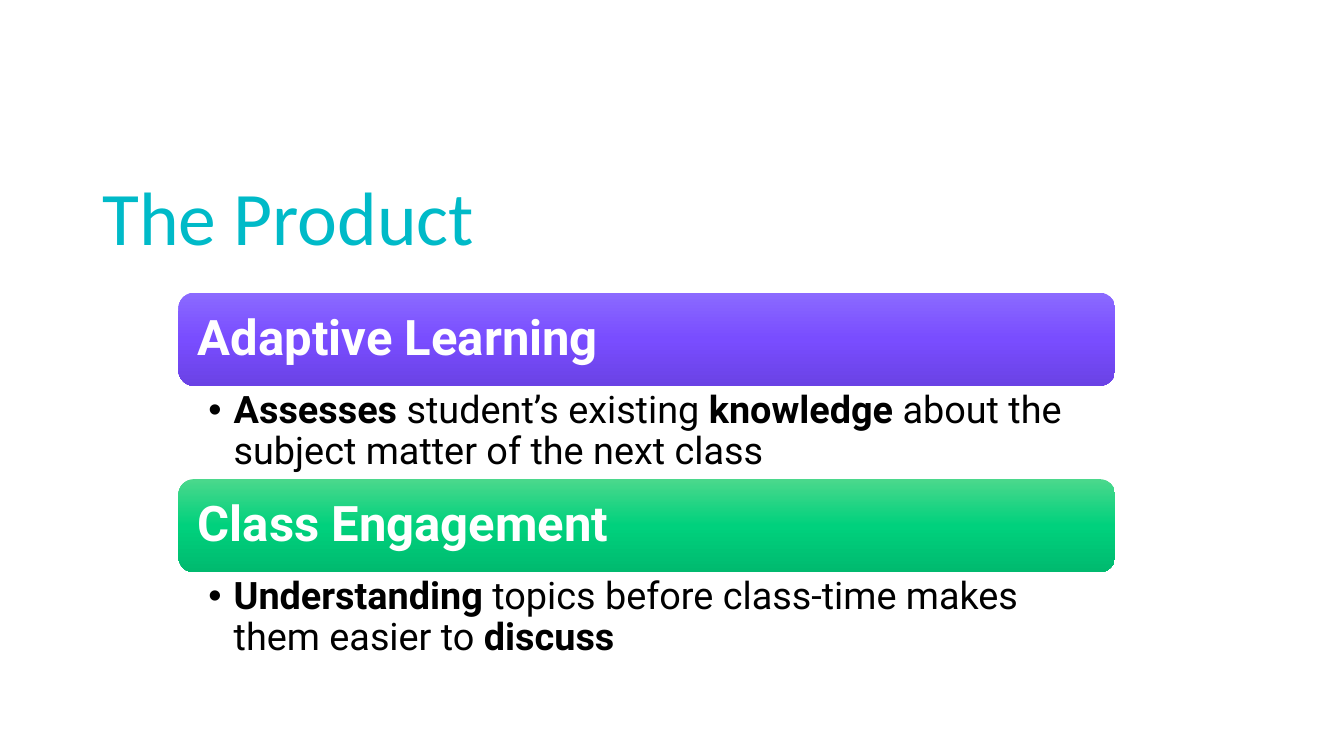
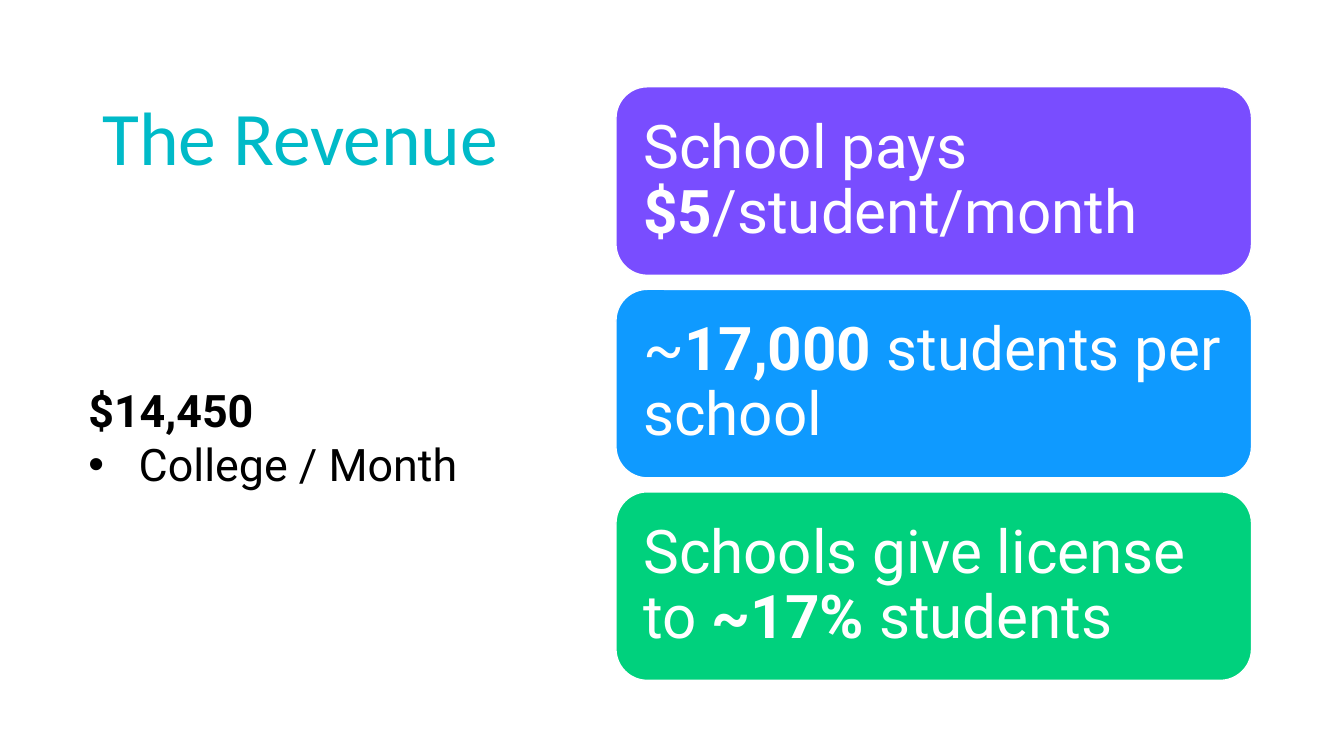
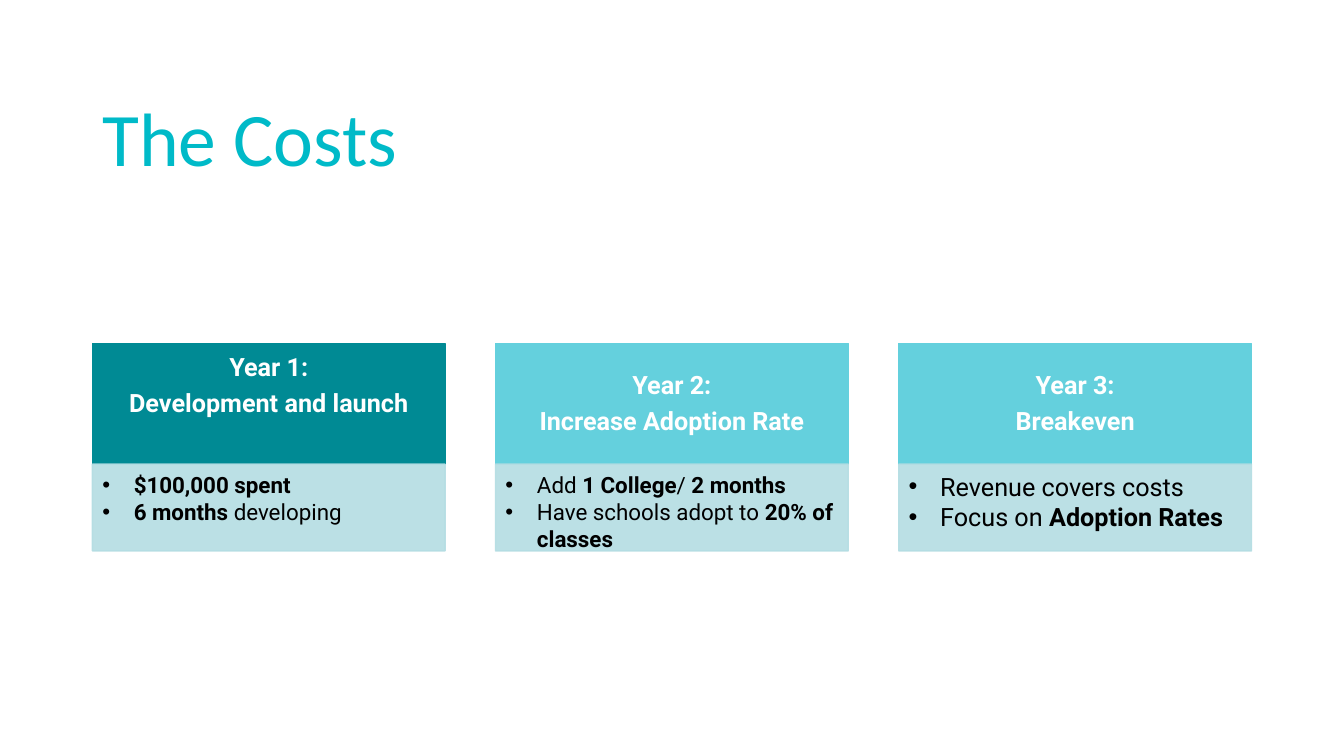
"""Build three pitch slides: product, revenue and costs."""
from copy import deepcopy

from lxml import etree
from pptx import Presentation
from pptx.dml.color import RGBColor
from pptx.enum import shapes, text
from pptx.oxml import ns
from pptx.util import Pt

COLORS = {
    "title": "00BAC8", "white": "FFFFFF", "black": "000000",
    "purple": "794DFF", "blue": "0F9AFF", "green": "00D17D",
    "teal": "008A94", "aqua": "64D0DD", "mist": "B4DDE3",
    "purple_light": "8B6AFF", "purple_dark": "6A42E5",
    "green_light": "4BD88C", "green_dark": "00BA6F",
}
ANCHORS = {
    "top": text.MSO_ANCHOR.TOP,
    "middle": text.MSO_ANCHOR.MIDDLE,
    "bottom": text.MSO_ANCHOR.BOTTOM,
}
ROUNDED = shapes.MSO_SHAPE.ROUNDED_RECTANGLE
RECTANGLE = shapes.MSO_SHAPE.RECTANGLE


def rgb(name):
    """Return the named colour."""
    return RGBColor.from_string(COLORS[name])


def add_bullet(paragraph, indent):
    """Give a paragraph a round bullet with a hanging indent."""
    properties = paragraph._p.get_or_add_pPr()
    properties.set("marL", str(Pt(indent)))
    properties.set("indent", str(-Pt(indent)))
    etree.SubElement(properties, ns.qn("a:buFont")).set("typeface", "Arial")
    etree.SubElement(properties, ns.qn("a:buChar")).set("char", "•")


def write_text(shape, lines, size, color="black", font="Roboto", anchor="top",
               insets=(7.2, 3.6, 7.2, 3.6), centered=False, spacing=1.0,
               after=0, bullet=0, first_bullet=0):
    """Fill a shape with lines, where asterisks enclose bold words."""
    frame = shape.text_frame
    frame.word_wrap = True
    frame.vertical_anchor = ANCHORS[anchor]
    (frame.margin_left, frame.margin_top,
     frame.margin_right, frame.margin_bottom) = map(Pt, insets)
    for index, line in enumerate(lines):
        paragraph = frame.paragraphs[0] if index == 0 else frame.add_paragraph()
        paragraph.alignment = text.PP_ALIGN.CENTER if centered else text.PP_ALIGN.LEFT
        paragraph.line_spacing = spacing
        paragraph.space_after = Pt(after)
        if bullet and index >= first_bullet:
            add_bullet(paragraph, bullet)
        for part, words in enumerate(line.split("*")):
            if words:
                run = paragraph.add_run()
                run.text = words
                run.font.name = font
                run.font.size = Pt(size)
                run.font.bold = part % 2 == 1
                run.font.color.rgb = rgb(color)


def add_text(slide, box, lines, **formats):
    """Add a text box."""
    write_text(slide.shapes.add_textbox(*map(Pt, box)), lines, **formats)


def add_panel(slide, kind, box, fill, line=None):
    """Add a plain shape; a tuple of colours makes a vertical gradient."""
    shape = slide.shapes.add_shape(kind, *map(Pt, box))
    shape.shadow.inherit = False
    if isinstance(fill, tuple):
        shape.fill.gradient()
        shape.fill.gradient_angle = 270
        stop_list = shape._element.spPr.find(".//" + ns.qn("a:gsLst"))
        stop_list.append(deepcopy(stop_list[-1]))
        for index, (stop, name) in enumerate(zip(shape.fill.gradient_stops, fill)):
            stop.position = index / (len(fill) - 1)
            stop.color.rgb = rgb(name)
    else:
        shape.fill.solid()
        shape.fill.fore_color.rgb = rgb(fill)
    if line:
        shape.line.color.rgb = rgb(line)
        shape.line.width = Pt(1)
    else:
        shape.line.fill.background()
    return shape


def set_opacity(shape, percent):
    """Make the fill and line of a shape partly transparent."""
    for color in shape._element.spPr.iter(ns.qn("a:srgbClr")):
        etree.SubElement(color, ns.qn("a:alpha")).set("val", str(percent * 1000))


def add_slide(presentation, title, box, anchor="bottom"):
    """Add a blank slide with its title."""
    slide = presentation.slides.add_slide(presentation.slide_layouts[6])
    add_text(slide, box, [title], size=54, color="title", font="Calibri", anchor=anchor)
    return slide


def add_features(slide, box, features):
    """Stack gradient headings, each with a bulleted line below."""
    left, top, width, height = box
    part_height = height / len(features) / 2
    for index, (heading, detail, fill) in enumerate(features):
        y = top + 2 * index * part_height
        bar = add_panel(slide, ROUNDED, (left, y, width, part_height), fill)
        write_text(bar, [heading], size=35, color="white", anchor="middle",
                   insets=(10.5,) * 4, spacing=0.9)
        add_text(slide, (left, y + part_height, width, part_height), [detail], size=27,
                 insets=(21.4, 3.6, 19.2, 3.6), spacing=0.9, bullet=18)


def add_cards(slide, box, cards, gap=10):
    """Stack equal rounded cards."""
    left, top, width, height = box
    card_height = (height - gap * (len(cards) - 1)) / len(cards)
    for index, (line, fill) in enumerate(cards):
        y = top + index * (card_height + gap)
        card = add_panel(slide, ROUNDED, (left, y, width, card_height), fill, "white")
        write_text(card, [line], size=43, color="white", anchor="middle",
                   insets=(13,) * 4, spacing=0.9)


def add_years(slide, box, years, gap=36, head_height=86):
    """Set year columns side by side, each a heading over bullets."""
    left, top, width, height = box
    column_width = (width - gap * (len(years) - 1)) / len(years)
    for index, (heading, details, fill, size, head_bottom) in enumerate(years):
        x = left + index * (column_width + gap)
        head = add_panel(slide, RECTANGLE, (x, top, column_width, head_height), fill, fill)
        write_text(head, heading, size=18, color="white", anchor="middle", centered=True,
                   insets=(10, 5.8, 10, head_bottom), spacing=0.9, after=6.3)
        body = add_panel(slide, RECTANGLE,
                         (x, top + head_height, column_width, height - head_height),
                         "mist", "mist")
        set_opacity(body, 90)
        write_text(body, details, size=size, insets=(7.2, 5, 7.2, 0), bullet=22.5)


def main():
    """Build and save the presentation."""
    presentation = Presentation()
    presentation.slide_width, presentation.slide_height = Pt(960), Pt(540)

    product = add_slide(presentation, "The Product", (66, 49, 791, 140.4))
    add_features(product, (127.5, 209, 669, 266.4), [
        ("*Adaptive Learning*",
         "*Assesses* student’s existing *knowledge* about the subject matter of the next class",
         ("purple_light", "purple", "purple_dark")),
        ("*Class Engagement*",
         "*Understanding* topics before class-time makes them easier to *discuss*",
         ("green_light", "green", "green_dark")),
    ])

    revenue = add_slide(presentation, "The Revenue", (66, 61, 318, 425), anchor="top")
    add_cards(revenue, (440, 62, 454, 424), [
        ("School pays *$5*/student/month", "purple"),
        ("~*17,000* students per school", "blue"),
        ("Schools give license to *~17% *students", "green"),
    ])
    add_text(revenue, (56, 270, 336, 85), ["*$14,450*", "College / Month"],
             size=32, bullet=36, first_bullet=1)

    costs = add_slide(presentation, "The Costs", (66, 29, 828, 104))
    add_years(costs, (66, 245.5, 828, 148), [
        (["*Year 1:*", "*Development and launch*"],
         ["*$100,000 spent*", "*6 months *developing"], "teal", 16, 31.5),
        (["*Year 2:*", "*Increase Adoption Rate*"],
         ["Add *1 College*/ *2 months*", "Have schools adopt to *20% of classes*"],
         "aqua", 16, 5.8),
        (["*Year 3:*", "*Breakeven*"],
         ["Revenue covers costs", "Focus on *Adoption Rates*"], "aqua", 18, 5.8),
    ])

    presentation.save("out.pptx")


if __name__ == "__main__":
    main()
